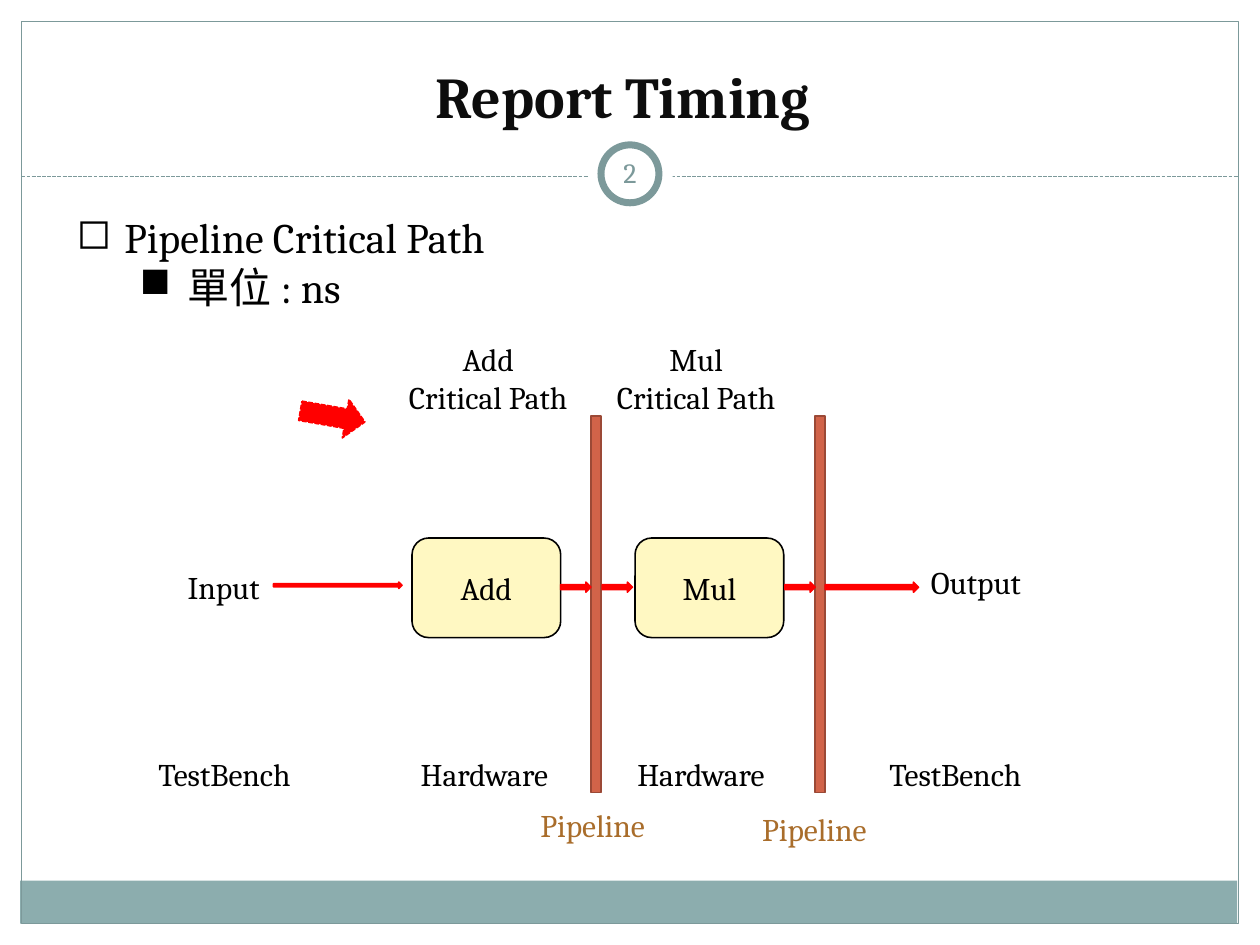
import collections

import lxml.etree
import pptx
import pptx.dml.color
import pptx.enum.dml
import pptx.enum.shapes
import pptx.enum.text
import pptx.oxml.ns
import pptx.util

RGBColor = pptx.dml.color.RGBColor
SHAPE = pptx.enum.shapes.MSO_SHAPE
ALIGN = pptx.enum.text.PP_ALIGN
ANCHOR = pptx.enum.text.MSO_ANCHOR
SYS_DASH = pptx.enum.dml.MSO_LINE.SQUARE_DOT
qn = pptx.oxml.ns.qn

WHITE = RGBColor(0xFF, 0xFF, 0xFF)
BLACK = RGBColor(0, 0, 0)
INK = RGBColor(0x0D, 0x0D, 0x0D)
TEAL = RGBColor(0x7C, 0x99, 0x9A)
PALE_TEAL = RGBColor(0x8C, 0xAD, 0xAE)
BRICK = RGBColor(0xD1, 0x63, 0x49)
DARK_BRICK = RGBColor(0x9B, 0x49, 0x36)
CREAM = RGBColor(0xFF, 0xF8, 0xC2)
RED = RGBColor(0xFF, 0, 0)
OCHRE = RGBColor(0xA9, 0x6D, 0x2B)

FONT, CJK_FONT = "Cambria", "Noto Sans CJK SC"
COLUMNS, ROWS = 100, 75  # grid cells are a tenth of an inch square
CELL = pptx.util.Inches(0.1)

Box = collections.namedtuple("Box", "left top width height")


def within(region, left, top, width, height):
    """Slide lengths of a part whose place is given in cells from its region."""
    cells = (region.left + left, region.top + top, width, height)
    return [round(n * CELL) for n in cells]


def set_all(target, values):
    for name, value in values.items():
        setattr(target, name, value)


def write(paragraph, text, size=18, color=BLACK, bold=False, font=FONT):
    run = paragraph.add_run()
    run.text = text
    set_all(run.font, {"name": font, "size": pptx.util.Pt(size), "bold": bold})
    run.font.color.rgb = color
    return run


def add_shape(shapes, kind, place, fill=None, line=None, weight=0.9):
    shape = shapes.add_shape(kind, *place)
    shape.shadow.inherit = False
    for part, color in ((shape.fill, fill), (shape.line.fill, line)):
        if color is None:
            part.background()
        else:
            part.solid()
            part.fore_color.rgb = color
    if line is not None:
        shape.line.width = pptx.util.Pt(weight)
    return shape


def add_label(shapes, place, lines, color=BLACK, align=ALIGN.LEFT):
    frame = shapes.add_textbox(*place).text_frame
    frame.word_wrap = False
    for index, text in enumerate(lines):
        paragraph = frame.add_paragraph() if index else frame.paragraphs[0]
        paragraph.alignment = align
        write(paragraph, text, color=color)


def add_frame(slide, region):
    """Footer band, page border, dashed rule and number badge."""
    shapes = slide.shapes
    add_shape(shapes, SHAPE.RECTANGLE, within(region, 1.6, 69.9, 96.6, 3.4), PALE_TEAL)
    add_shape(shapes, SHAPE.RECTANGLE, within(region, 1.7, 1.7, 96.6, 71.6),
              line=TEAL, weight=0.75)

    left, top, width, _ = within(region, 1.7, 14, 96.6, 0)
    rule = shapes.add_connector(pptx.enum.shapes.MSO_CONNECTOR.STRAIGHT,
                                left, top, left + width, top)
    set_all(rule.line, {"width": pptx.util.Pt(0.75), "dash_style": SYS_DASH})
    rule.line.color.rgb = TEAL
    lxml.etree.SubElement(rule._element.spPr, qn("a:effectLst"))

    add_shape(shapes, SHAPE.OVAL, within(region, 46.7, 10.5, 6.7, 6.7), WHITE)
    add_shape(shapes, SHAPE.OVAL, within(region, 47.7, 11.5, 4.6, 4.6), WHITE, TEAL, 4)
    frame = shapes.add_textbox(*within(region, 47.5, 11.3, 5, 4.8)).text_frame
    margins = ("margin_left", "margin_top", "margin_right", "margin_bottom")
    set_all(frame, dict.fromkeys(margins, pptx.util.Inches(0.05)))
    set_all(frame, {"word_wrap": True, "vertical_anchor": ANCHOR.MIDDLE})
    frame.paragraphs[0].alignment = ALIGN.CENTER
    write(frame.paragraphs[0], "2", 16, TEAL)


def add_title(slide, region):
    title = slide.shapes.title
    place = within(region, 0, 0, region.width, region.height)
    set_all(title, dict(zip(("left", "top", "width", "height"), place)))
    set_all(title.text_frame, {"vertical_anchor": ANCHOR.BOTTOM, "word_wrap": True})
    heading = title.text_frame.paragraphs[0]
    heading.alignment = ALIGN.CENTER
    write(heading, "Report Timing ", 33, INK, True)


def add_bullets(slide, region):
    place = within(region, 0, 0, region.width, region.height)
    frame = slide.shapes.add_textbox(*place).text_frame
    frame.word_wrap = True
    topic, unit = frame.paragraphs[0], frame.add_paragraph()
    unit.level = 1
    for paragraph, mark, indent in ((topic, "◻", 0.38), (unit, "■", 0.88)):
        properties = paragraph._p.get_or_add_pPr()
        properties.set("marL", str(pptx.util.Inches(indent)))
        properties.set("indent", str(pptx.util.Inches(-0.38)))
        lxml.etree.SubElement(properties, qn("a:buChar")).set("char", mark)
    write(topic, "Pipeline Critical Path", 24)
    chinese = write(unit, "單位 ", 24, font=CJK_FONT)
    east_asian = lxml.etree.SubElement(chinese.font._element, qn("a:ea"))
    east_asian.set("typeface", CJK_FONT)
    write(unit, ": ns", 24)


def add_pipeline(slide, region):
    """Two hardware stages, each closed by a pipeline register."""
    shapes = slide.shapes.add_group_shape().shapes
    stage_pitch, register_pitch = 17.7, 17.8

    # Registers and stages
    for index, operation in enumerate(("Add", "Mul")):
        add_shape(shapes, SHAPE.RECTANGLE,
                  within(region, 35.9 + index * register_pitch, 7, 0.8, 29.9),
                  BRICK, DARK_BRICK)
        stage = add_shape(shapes, SHAPE.ROUNDED_RECTANGLE,
                          within(region, 21.7 + index * stage_pitch, 16.7, 11.8, 7.9),
                          CREAM, BLACK)
        stage.text_frame.vertical_anchor = ANCHOR.MIDDLE
        stage.text_frame.paragraphs[0].alignment = ALIGN.CENTER
        write(stage.text_frame.paragraphs[0], operation)
        add_label(shapes, within(region, 19.8 + index * 16.5, 0.5, 15.9, 7.1),
                  (operation, "Critical Path"), align=ALIGN.CENTER)

    # Data flow from input to output
    for left, width, height in ((10.7, 10.2, 0.5), (33.5, 2.4, 0.8), (36.8, 2.4, 0.8),
                                (51.3, 2.4, 0.8), (54.5, 7.4, 0.8)):
        add_shape(shapes, SHAPE.RIGHT_ARROW,
                  within(region, left, 20.2, width, height), RED, RED)

    # Pointer to the critical paths
    pointer = add_shape(shapes, SHAPE.RIGHT_ARROW,
                        within(region, 12.8, 5.5, 5.2, 3.1), RED, RED)
    pointer.rotation = 9.8
    pointer.line.dash_style = SYS_DASH

    # Names of the zones, registers and ends
    for text, left, top, width, color in (
            ("TestBench", 0.6, 33.4, 13.7, BLACK), ("TestBench", 58.6, 33.4, 13.7, BLACK),
            ("Hardware", 21.4, 33.4, 13.2, BLACK), ("Hardware", 38.6, 33.4, 13.2, BLACK),
            ("Pipeline", 30.9, 37.5, 11.1, OCHRE), ("Pipeline", 48.5, 37.8, 11.1, OCHRE),
            ("Input", 2.9, 18.6, 8.3, BLACK), ("Output", 61.9, 18.2, 10, BLACK)):
        add_label(shapes, within(region, left, top, width, 4), (text,), color)


def main():
    deck = pptx.Presentation()
    set_all(deck, {"slide_width": COLUMNS * CELL, "slide_height": ROWS * CELL})
    slide = deck.slides.add_slide(deck.slide_layouts[5])
    add_frame(slide, Box(0, 0, COLUMNS, ROWS))
    add_title(slide, Box(3.3, 2.5, 93.3, 8.3))
    add_bullets(slide, Box(5.1, 16.3, 93.3, 9.1))
    add_pipeline(slide, Box(11, 26, 73, 42))
    deck.save("out.pptx")


if __name__ == "__main__":
    main()
